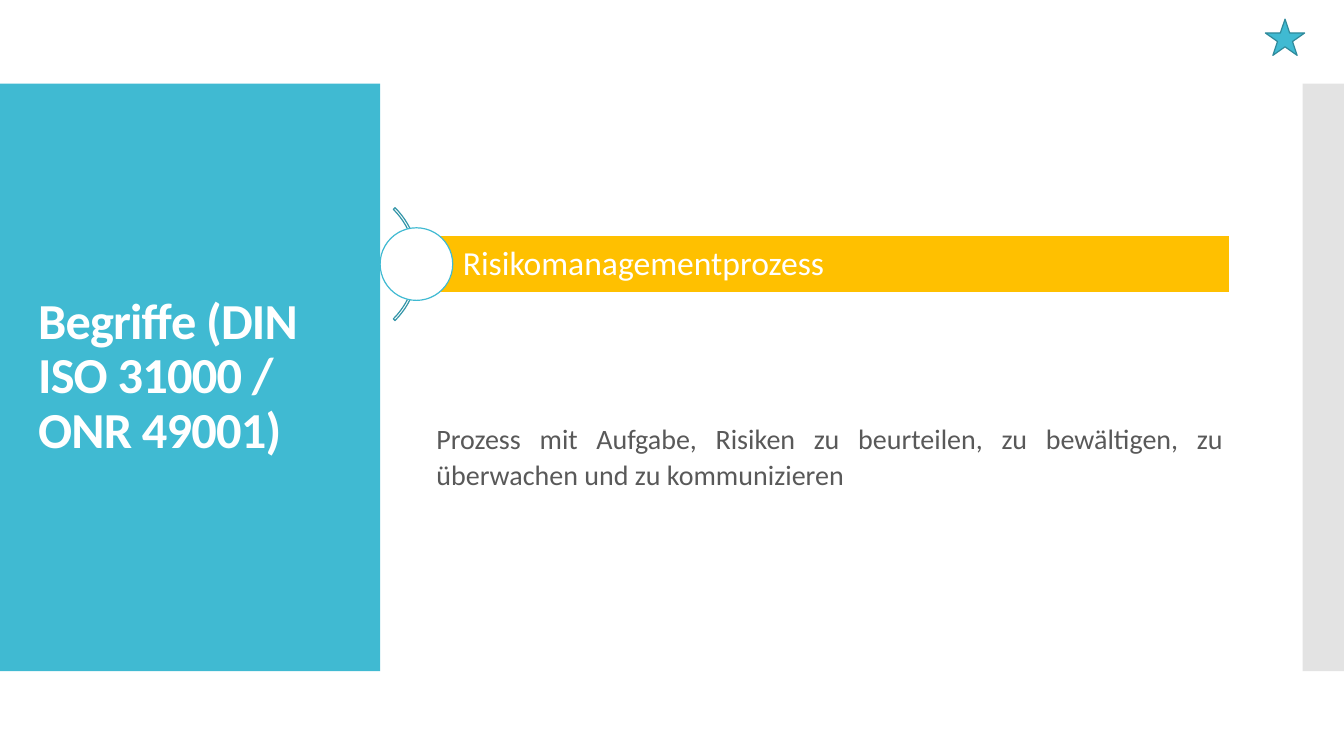
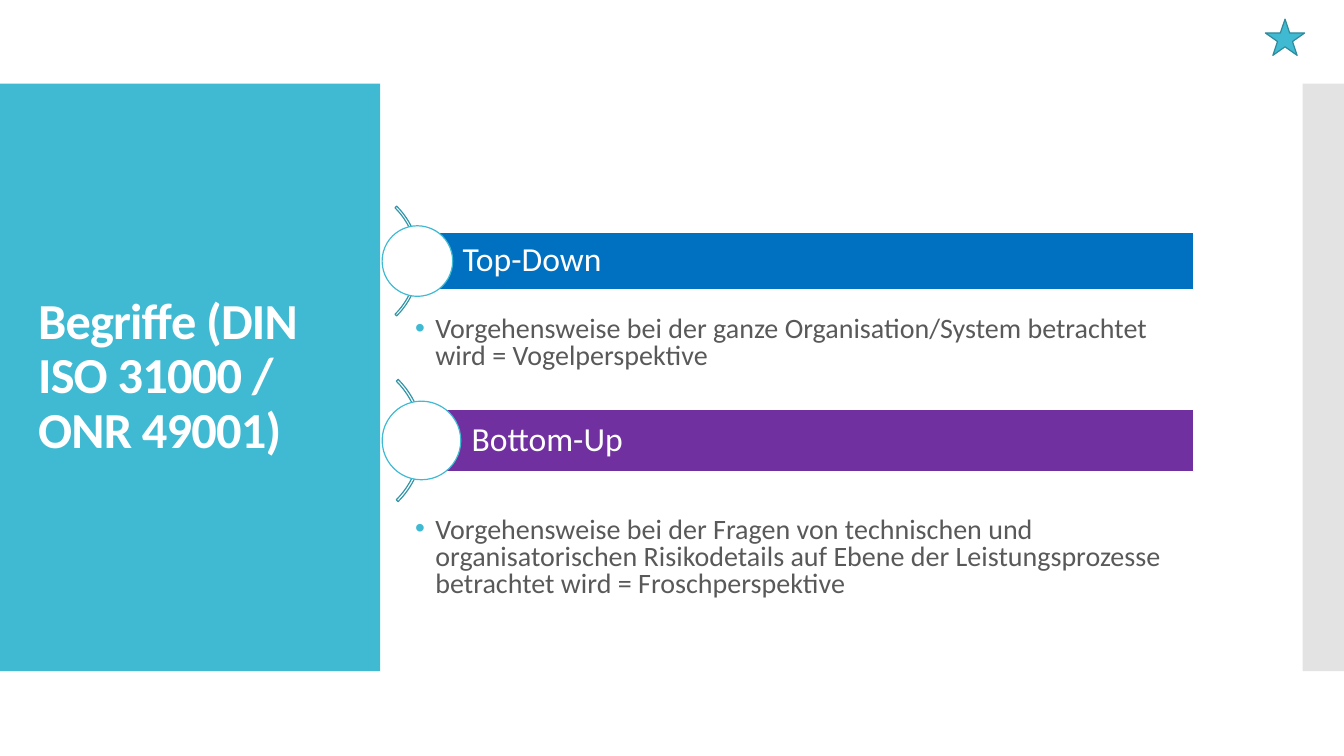
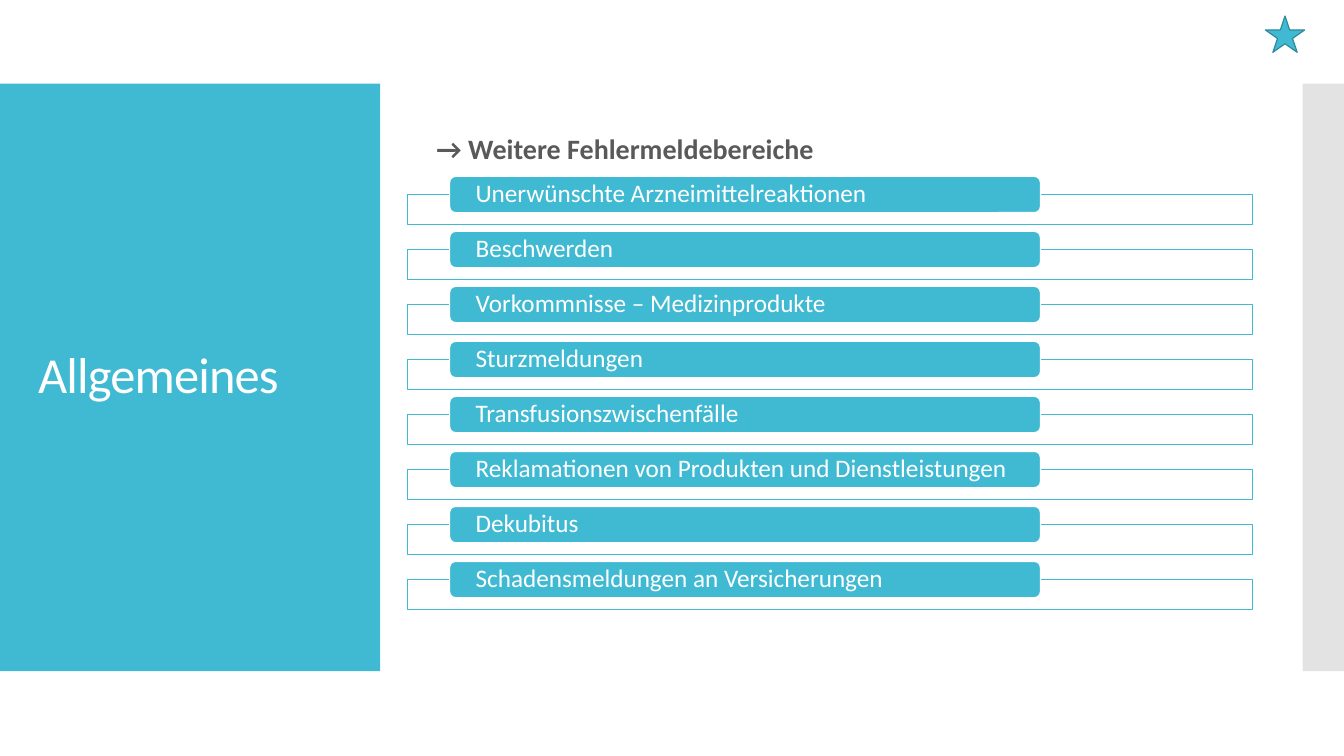
from lxml.etree import SubElement
from pptx import Presentation
from pptx.dml.color import RGBColor
from pptx.enum.shapes import MSO_SHAPE
from pptx.enum.text import MSO_ANCHOR, PP_ALIGN
from pptx.oxml.ns import qn
from pptx.util import Inches, Pt

TEAL = RGBColor(0x40, 0xBA, 0xD2)
ARC_TEAL = RGBColor(0x33, 0x95, 0xA8)
STAR_EDGE = RGBColor(0x2F, 0x8A, 0x9B)
BAND_GREY = RGBColor(0xC8, 0xC8, 0xC8)
TEXT_GREY = RGBColor(0x59, 0x59, 0x59)
WHITE = RGBColor(0xFF, 0xFF, 0xFF)
AMBER = RGBColor(0xFF, 0xC0, 0x00)
BLUE = RGBColor(0x00, 0x70, 0xC0)
PURPLE = RGBColor(0x70, 0x30, 0xA0)

FONT = "Calibri"
LINE_WIDTH = Pt(0.85)
TERMS_TITLE = "Begriffe (DIN ISO 31000 / ONR 49001)"
REPORTING_AREAS = [
    "Unerwünschte Arzneimittelreaktionen",
    "Beschwerden",
    "Vorkommnisse – Medizinprodukte",
    "Sturzmeldungen",
    "Transfusionszwischenfälle",
    "Reklamationen von Produkten und Dienstleistungen",
    "Dekubitus",
    "Schadensmeldungen an Versicherungen",
]


def add_figure(slide, preset, left, top, width, height, fill=None, line=None):
    """Preset shape without shadow; fill and outline only where given."""
    figure = slide.shapes.add_shape(
        preset, Inches(left), Inches(top), Inches(width), Inches(height))
    figure.shadow.inherit = False
    if fill is None:
        figure.fill.background()
    else:
        figure.fill.solid()
        figure.fill.fore_color.rgb = fill
    if line is None:
        figure.line.fill.background()
    else:
        figure.line.color.rgb = line
        figure.line.width = LINE_WIDTH
    return figure


def write(figure, text, size, color=WHITE, bold=False, spacing=0.9,
          align=PP_ALIGN.LEFT, anchor=MSO_ANCHOR.MIDDLE,
          insets=(0.1, 0.05, 0.1, 0.05)):
    """Fill a shape or text box with one paragraph."""
    frame = figure.text_frame
    frame.word_wrap = True
    frame.vertical_anchor = anchor
    (frame.margin_left, frame.margin_top,
     frame.margin_right, frame.margin_bottom) = map(Inches, insets)
    paragraph = frame.paragraphs[0]
    paragraph.alignment = align
    paragraph.line_spacing = spacing
    run = paragraph.add_run()
    run.text = text
    run.font.name = FONT
    run.font.size = Pt(size)
    run.font.bold = bold
    run.font.color.rgb = color
    return paragraph


def add_text(slide, left, top, width, height, text, size, **style):
    box = slide.shapes.add_textbox(
        Inches(left), Inches(top), Inches(width), Inches(height))
    return write(box, text, size, **style)


def add_body(slide, left, top, width, height, text, **style):
    return add_text(slide, left, top, width, height, text, 20,
                    color=TEXT_GREY, anchor=MSO_ANCHOR.TOP, **style)


def set_bullet(paragraph):
    properties = paragraph._p.get_or_add_pPr()
    properties.set("marL", str(Inches(0.2)))
    properties.set("indent", str(-Inches(0.2)))
    bullet_color = SubElement(properties, qn("a:buClr"))
    SubElement(bullet_color, qn("a:srgbClr")).set("val", str(TEAL))
    SubElement(properties, qn("a:buFont")).set("typeface", "Arial")
    SubElement(properties, qn("a:buChar")).set("char", "•")


def add_base_slide(deck, title, bold=True, star_top=0.19):
    """Slide with the title panel, the right band and the star."""
    slide = deck.slides.add_slide(deck.slide_layouts[6])
    add_figure(slide, MSO_SHAPE.RECTANGLE, 0, 0.83, 3.77, 5.83, TEAL)
    band = add_figure(slide, MSO_SHAPE.RECTANGLE, 12.92, 0.83, 0.42, 5.83,
                      BAND_GREY)
    band_color = band.fill._xPr.find(".//" + qn("a:srgbClr"))
    SubElement(band_color, qn("a:alpha")).set("val", "50000")
    heading = add_text(slide, 0.28, 1.23, 3.22, 5.03, title, 36, bold=bold)
    heading.runs[0]._r.get_or_add_rPr().set("spc", "-60")
    add_figure(slide, MSO_SHAPE.STAR_5_POINT, 12.55, star_top, 0.39, 0.36,
               TEAL, STAR_EDGE)
    return slide


def add_term(slide, term, color, left, middle, diameter, right):
    """Arc, coloured bar and circle, all sized from the circle."""
    center = left + diameter / 2
    arc_size = 2.2 * diameter
    bar_height = 0.8 * diameter
    arc = add_figure(slide, MSO_SHAPE.BLOCK_ARC, center + 0.02 - arc_size,
                     middle - arc_size / 2, arc_size, arc_size, line=ARC_TEAL)
    # Start angle, end angle and thickness
    for index, value in enumerate((189, 27, 0.015)):
        arc.adjustments[index] = value
    bar = add_figure(slide, MSO_SHAPE.RECTANGLE, center,
                     middle - bar_height / 2, right - center, bar_height,
                     color, WHITE)
    write(bar, term, 24, insets=(0.64 * diameter, 0.07, 0.07, 0.07))
    add_figure(slide, MSO_SHAPE.OVAL, left, middle - diameter / 2,
               diameter, diameter, WHITE, TEAL)


def add_reporting_areas(slide, areas, first_top=1.75, last_top=5.57):
    """Evenly spaced list of labels, each on an outlined frame."""
    pitch = (last_top - first_top) / (len(areas) - 1)
    for row, area in enumerate(areas):
        top = first_top + row * pitch
        add_figure(slide, MSO_SHAPE.RECTANGLE, 4.04, top + 0.18, 8.38, 0.3,
                   WHITE, TEAL)
        label = add_figure(slide, MSO_SHAPE.ROUNDED_RECTANGLE, 4.46, top,
                           5.86, 0.36, TEAL, WHITE)
        write(label, area, 18, insets=(0.24, 0, 0.24, 0))


def main():
    deck = Presentation()
    deck.slide_width, deck.slide_height = Inches(13.33), Inches(7.5)

    # Risk management process
    process = add_base_slide(deck, TERMS_TITLE)
    add_body(process, 4.23, 4.11, 8, 0.85,
             "Prozess mit Aufgabe, Risiken zu beurteilen, zu bewältigen, "
             "zu überwachen und zu kommunizieren",
             spacing=1.07, align=PP_ALIGN.JUSTIFY)
    add_term(process, "Risikomanagementprozess", AMBER, 3.77, 2.62, 0.72, 12.2)

    # Top-down and bottom-up
    approaches = add_base_slide(deck, TERMS_TITLE)
    for top, height, explanation in (
        (3.1, 0.65, "Vorgehensweise bei der ganze Organisation/System "
                    "betrachtet wird = Vogelperspektive"),
        (5.09, 0.92, "Vorgehensweise bei der Fragen von technischen und "
                     "organisatorischen Risikodetails auf Ebene der "
                     "Leistungsprozesse betrachtet wird = Froschperspektive"),
    ):
        set_bullet(add_body(approaches, 4.02, top, 7.6, height, explanation,
                            spacing=0.8))
    add_term(approaches, "Top-Down", BLUE, 3.79, 2.59, 0.7, 11.84)
    add_term(approaches, "Bottom-Up", PURPLE, 3.79, 4.37, 0.78, 11.84)

    # Further reporting areas
    general = add_base_slide(deck, "Allgemeines", bold=False, star_top=0.16)
    add_body(general, 4.23, 1.29, 8, 0.42, "→ Weitere Fehlermeldebereiche",
             bold=True)
    add_reporting_areas(general, REPORTING_AREAS)

    deck.save("out.pptx")


if __name__ == "__main__":
    main()
